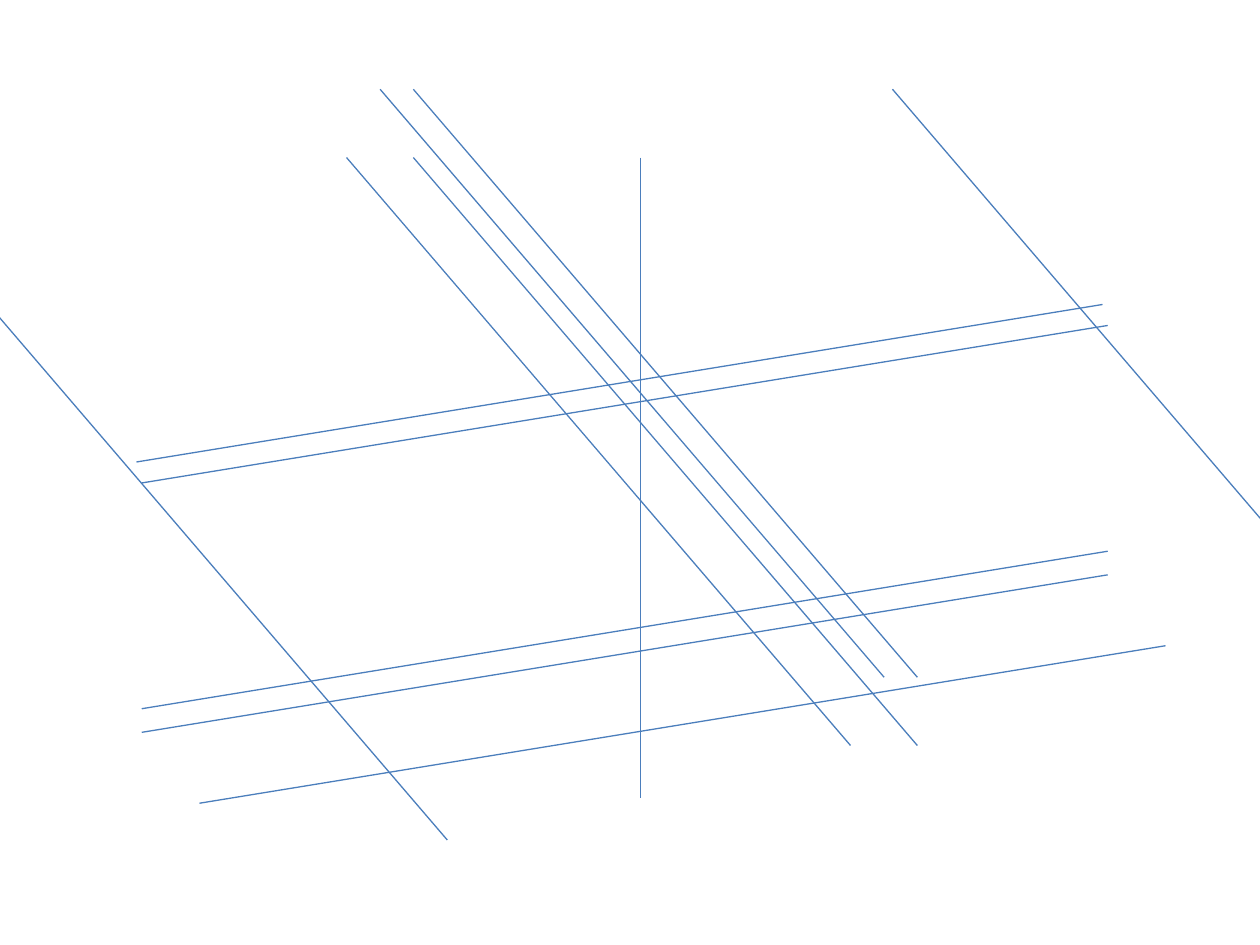
from lxml import etree
from pptx import Presentation
from pptx.dml.color import RGBColor
from pptx.enum.shapes import MSO_CONNECTOR
from pptx.oxml.ns import qn
from pptx.util import Pt

STRAIGHT = MSO_CONNECTOR.STRAIGHT
COLOURS = {"line": "4B7EBC"}
LINE_FORMAT = {"width": Pt(0.75)}

GENTLE = (552, -90)
STEEP = (288, 336)
VERTICAL = (0, 366)

GUIDES = [
    (GENTLE, 78, 264),
    (VERTICAL, 366, 90),
    (GENTLE, 114, 459),
    (STEEP, 198, 90),
    (STEEP, 510, 51),
    (GENTLE, 81, 418.5),
    (STEEP, -32.4, 144),
    (GENTLE, 81, 405),
    (GENTLE, 81, 276),
    (STEEP, 236.2, 51),
    (STEEP, 217.2, 51),
    (STEEP, 236.2, 90),
]


def add_guide(slide, direction, x, y):
    run, rise = direction
    guide = slide.shapes.add_connector(
        STRAIGHT, Pt(x), Pt(y), Pt(x + run), Pt(y + rise)
    )
    guide.line.color.rgb = RGBColor.from_string(COLOURS["line"])
    for attribute, value in LINE_FORMAT.items():
        setattr(guide.line, attribute, value)
    etree.SubElement(guide._element.spPr, qn("a:effectLst"))


def main():
    deck = Presentation()
    deck.slide_width, deck.slide_height = Pt(720), Pt(540)
    slide = deck.slides.add_slide(deck.slide_layouts[6])
    for direction, x, y in GUIDES:
        add_guide(slide, direction, x, y)
    deck.save("out.pptx")


if __name__ == "__main__":
    main()
